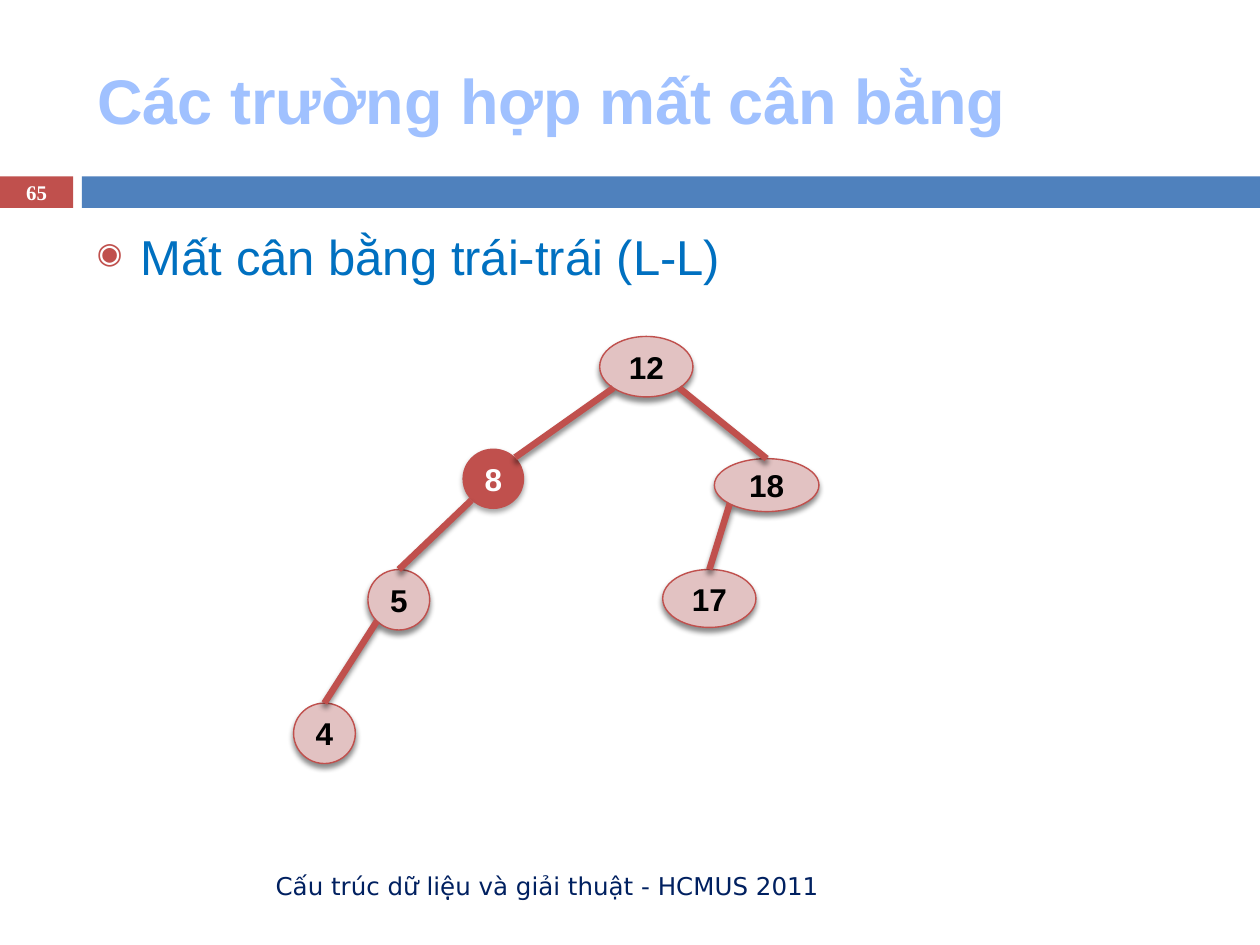
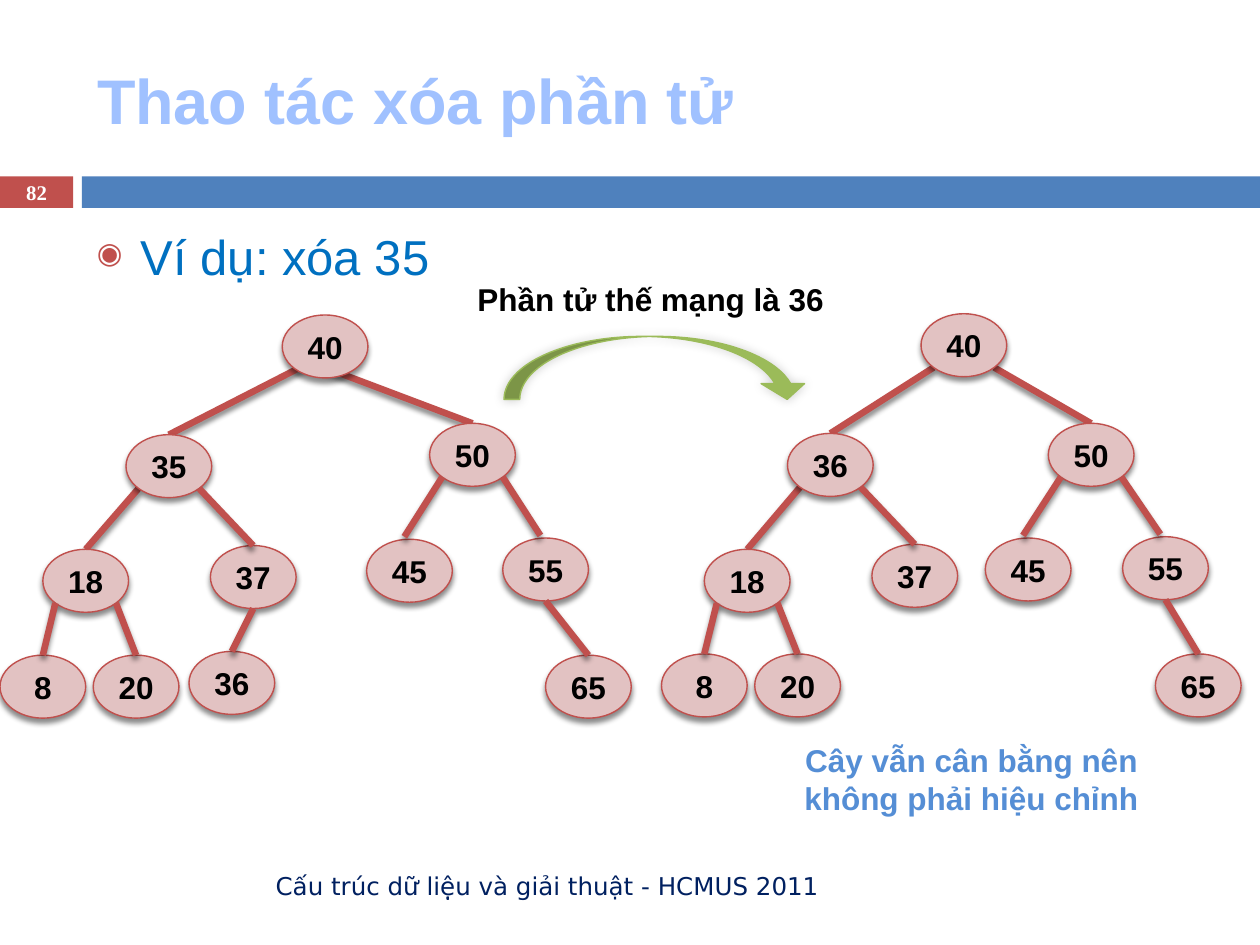
import pptx
import pptx.dml.color
import pptx.enum.shapes
import pptx.enum.text
import pptx.oxml
import pptx.oxml.ns
import pptx.util
from pptx.util import Inches

SHAPE = pptx.enum.shapes.MSO_SHAPE
ALIGN = pptx.enum.text.PP_ALIGN
ANCHOR = pptx.enum.text.MSO_ANCHOR

COLORS = {
    "red": "C0504D", "pink": "E2C2C2", "blue": "4F81BD", "green": "9BBB59",
    "title": "A0C1FF", "body": "0070C0", "footer": "002060", "note": "558ED5",
    "black": "000000", "white": "FFFFFF",
}
NODE_SHADOW = (45, 3, 2.4, 90)
MARKED_SHADOW = (35, 3, 2, 90)
ARROW_SHADOW = (20, 6, 0, 315)
DIAGONAL = 0.707

# Points on a node, as fractions of its half width and half height
SITES = {
    "top": (0, -1), "bottom": (0, 1),
    "bottom left": (-DIAGONAL, DIAGONAL), "bottom right": (DIAGONAL, DIAGONAL),
    "top right": (DIAGONAL, -DIAGONAL),
    "above": (-0.12, -1.08), "inside": (-0.2, 0.4), "inside left": (-0.53, 0.4),
}


def rgb(name):
    return pptx.dml.color.RGBColor.from_string(COLORS[name])


def write(tf, text, size=18, font="Arial", color="black", bold=False,
          align=ALIGN.LEFT, anchor=ANCHOR.TOP, bullet=None, inset=None):
    """Fill a text frame with one formatted paragraph."""
    tf.word_wrap = True
    tf.vertical_anchor = anchor
    if inset is not None:
        tf.margin_left = tf.margin_right = Inches(inset)
        tf.margin_top = tf.margin_bottom = Inches(inset)
    p = tf.paragraphs[0]
    p.alignment = align
    if bullet:
        add_bullet(p, bullet)
    r = p.add_run()
    r.text = text
    r.font.size = pptx.util.Pt(size)
    r.font.name = font
    r.font.bold = bold
    r.font.color.rgb = rgb(color)


def add_bullet(p, char):
    ppr = p._p.get_or_add_pPr()
    ppr.set("marL", str(Inches(0.35)))
    ppr.set("indent", str(Inches(-0.35)))
    ns = pptx.oxml.ns.nsdecls("a")
    for xml in (f'<a:buClr {ns}><a:srgbClr val="{COLORS["red"]}"/></a:buClr>',
                f'<a:buSzPct {ns} val="60000"/>',
                f'<a:buChar {ns} char="{char}"/>'):
        ppr.append(pptx.oxml.parse_xml(xml))


def set_shadow(sp, shadow):
    """Give a shape a black shadow: opacity %, blur pt, distance pt, angle."""
    alpha, blur, dist, angle = shadow
    sp._element.spPr.append(pptx.oxml.parse_xml(
        f'<a:effectLst {pptx.oxml.ns.nsdecls("a")}>'
        f'<a:outerShdw blurRad="{pptx.util.Pt(blur)}" dist="{pptx.util.Pt(dist)}" '
        f'dir="{angle * 60000}" rotWithShape="0">'
        f'<a:srgbClr val="{COLORS["black"]}"><a:alpha val="{alpha * 1000}"/></a:srgbClr>'
        '</a:outerShdw></a:effectLst>'))


class Deck:
    def __init__(self):
        self.prs = pptx.Presentation()
        self.prs.slide_width, self.prs.slide_height = Inches(10), Inches(7.5)
        self.s = None

    def slide(self, title, number, body):
        self.s = self.prs.slides.add_slide(self.prs.slide_layouts[5])
        ph = self.s.shapes.title
        ph.left, ph.top = Inches(0.67), Inches(0.25)
        ph.width, ph.height = Inches(8.92), Inches(1.08)
        write(ph.text_frame, title, size=36, color="title", bold=True,
              anchor=ANCHOR.MIDDLE)
        tab = self.shape(SHAPE.RECTANGLE, (0, 1.4, 0.58, 0.25), "red")
        write(tab.text_frame, number, size=11.9, font="Times New Roman",
              color="white", bold=True, align=ALIGN.CENTER,
              anchor=ANCHOR.MIDDLE, inset=0)
        self.shape(SHAPE.RECTANGLE, (0.65, 1.4, 9.35, 0.25), "blue")
        self.text((0.67, 6.83, 5.93, 0.4),
                  "Cấu trúc dữ liệu và giải thuật - HCMUS 2011", size=14,
                  font="DejaVu Sans", color="footer", align=ALIGN.RIGHT,
                  anchor=ANCHOR.MIDDLE)
        self.text((0.67, 1.75, 8.92, 4.92), body, size=28, color="body", bullet="◉")

    def text(self, box, text, **style):
        tb = self.s.shapes.add_textbox(*map(Inches, box))
        write(tb.text_frame, text, **style)

    def shape(self, kind, box, fill, line=None, shadow=None):
        sp = self.s.shapes.add_shape(kind, *map(Inches, box))
        sp.fill.solid()
        sp.fill.fore_color.rgb = rgb(fill)
        if line:
            sp.line.color.rgb = rgb(line)
            sp.line.width = pptx.util.Pt(0.79)
        else:
            sp.line.fill.background()
        if shadow:
            set_shadow(sp, shadow)
        else:
            sp.shadow.inherit = False
        return sp

    def node(self, label, box, marked=False):
        if marked:
            sp = self.shape(SHAPE.OVAL, box, "red", shadow=MARKED_SHADOW)
        else:
            sp = self.shape(SHAPE.OVAL, box, "pink", "red", NODE_SHADOW)
        write(sp.text_frame, label, color="white" if marked else "black", bold=True,
              align=ALIGN.CENTER, anchor=ANCHOR.MIDDLE, inset=0)

    def edge(self, parent, child, start, end="top"):
        """Join two node boxes at the named sites."""
        points = []
        for (left, top, width, height), site in ((parent, start), (child, end)):
            dx, dy = SITES[site]
            points += [Inches(left + width / 2 * (1 + dx)),
                       Inches(top + height / 2 * (1 + dy))]
        line = self.s.shapes.add_connector(
            pptx.enum.shapes.MSO_CONNECTOR.STRAIGHT, *points)
        line.line.color.rgb = rgb("red")
        line.line.width = pptx.util.Pt(3.75)
        set_shadow(line, NODE_SHADOW)

    def tree(self, nodes, edges, under=(), marked=None):
        """Draw nodes between the edges under them and the edges over them."""
        for parent, child, *sites in under:
            self.edge(nodes[parent], nodes[child], *sites)
        for label, box in nodes.items():
            self.node(label, box, label == marked)
        for parent, child, *sites in edges:
            self.edge(nodes[parent], nodes[child], *sites)


def imbalance_slide(deck):
    deck.slide("Các trường hợp mất cân bằng", "65", "Mất cân bằng trái-trái (L-L)")
    nodes = {
        "12": (4.76, 2.67, 0.74, 0.48),
        "8": (3.67, 3.56, 0.49, 0.48),
        "5": (2.92, 4.52, 0.49, 0.48),
        "18": (5.67, 3.64, 0.83, 0.42),
        "17": (5.26, 4.52, 0.74, 0.46),
        "4": (2.33, 5.58, 0.49, 0.48),
    }
    deck.tree(nodes, [
        ("12", "18", "bottom right"),
        ("12", "8", "bottom left", "top right"),
        ("8", "5", "bottom left"),
        ("5", "4", "bottom left"),
        ("18", "17", "bottom left"),
    ], marked="8")


def deletion_tree(deck, corners, left_child, root_sites, extra_edges=()):
    nodes = {label: (*corner, 0.68, 0.5) for label, corner in corners.items()}
    left_site, right_site = root_sites
    under = [
        ("40", "50", right_site),
        ("40", left_child, left_site),
        (left_child, "18", "bottom left"),
    ]
    deck.tree(nodes, [
        (left_child, "37", "bottom right"),
        ("50", "45", "bottom left", "above"),
        ("50", "55", "bottom right", "above"),
        ("55", "65", "bottom"),
        ("18", "8", "bottom left"),
        ("18", "20", "bottom right"),
        *extra_edges,
    ], under)


def deletion_slide(deck):
    deck.slide("Thao tác xóa phần tử", "82", "Ví dụ: xóa 35")
    before = {
        "35": (1, 3.45), "40": (2.24, 2.5), "50": (3.41, 3.36), "55": (3.99, 4.27),
        "65": (4.33, 5.2), "8": (0, 5.2), "20": (0.74, 5.2), "37": (1.67, 4.33),
        "36": (1.5, 5.17), "18": (0.34, 4.36), "45": (2.91, 4.28),
    }
    after = {
        "36": (6.25, 3.44), "40": (7.31, 2.49), "50": (8.32, 3.36), "55": (8.91, 4.26),
        "65": (9.17, 5.19), "8": (5.25, 5.19), "20": (5.99, 5.19), "37": (6.92, 4.32),
        "18": (5.59, 4.36), "45": (7.82, 4.27),
    }
    deletion_tree(deck, before, "35", ("inside", "inside left"),
                  [("37", "36", "bottom")])
    deletion_tree(deck, after, "36", ("bottom left", "bottom right"))
    arrow = deck.shape(SHAPE.CURVED_DOWN_ARROW, (4, 2.67, 2.42, 0.5), "green", "green",
                       ARROW_SHADOW)
    for i, value in enumerate((0.25, 0.69, 0.25)):
        arrow.adjustments[i] = value
    deck.text((3.58, 2.17, 3.17, 0.4), "Phần tử thế mạng là 36", bold=True,
              align=ALIGN.CENTER)
    deck.text((6, 5.83, 3.42, 0.71), "Cây vẫn cân bằng nên không phải hiệu chỉnh",
              color="note", bold=True, align=ALIGN.CENTER)


def main():
    deck = Deck()
    imbalance_slide(deck)
    deletion_slide(deck)
    deck.prs.save("out.pptx")


if __name__ == "__main__":
    main()
